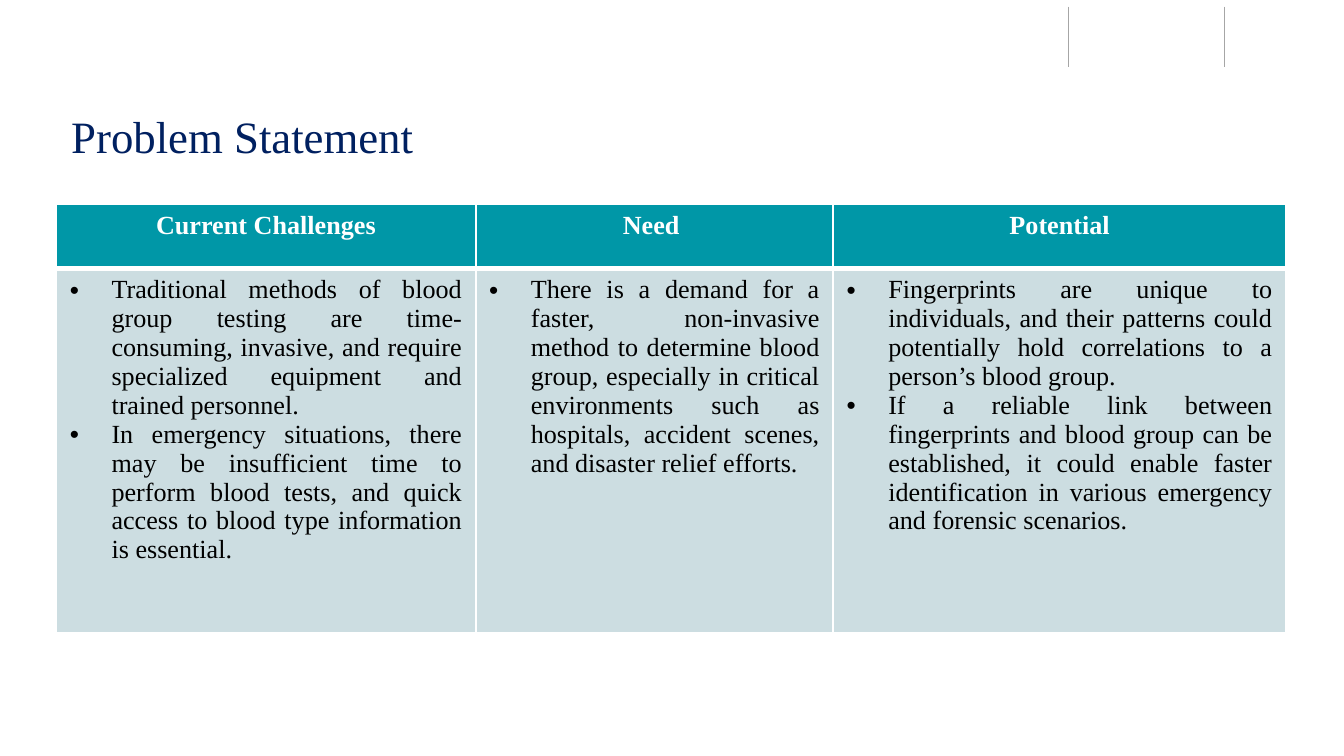
from lxml import etree
from pptx import Presentation
from pptx.dml.color import RGBColor
from pptx.enum.shapes import MSO_CONNECTOR
from pptx.enum.text import MSO_ANCHOR, PP_ALIGN
from pptx.oxml.ns import qn
from pptx.util import Inches, Pt

STRAIGHT = MSO_CONNECTOR.STRAIGHT
TOP = MSO_ANCHOR.TOP
LEFT, CENTER, JUSTIFY = PP_ALIGN.LEFT, PP_ALIGN.CENTER, PP_ALIGN.JUSTIFY
NAVY = RGBColor(0x00, 0x20, 0x60)
TEAL = RGBColor(0x00, 0x97, 0xA7)
PALE = RGBColor(0xCC, 0xDD, 0xE1)
GREY = RGBColor(0xA6, 0xA6, 0xA6)
WHITE = RGBColor(0xFF, 0xFF, 0xFF)
BLACK = RGBColor(0x00, 0x00, 0x00)
FONT = "Times New Roman"

COLUMNS = [
    (3.12, "Current Challenges", [
        "Traditional methods of blood group testing are time-consuming, invasive, "
        "and require specialized equipment and trained personnel. ",
        "In emergency situations, there may be insufficient time to perform blood "
        "tests, and quick access to blood type information is essential."]),
    (2.66, "Need ", [
        "There is a demand for a faster, non-invasive method to determine blood "
        "group, especially in critical environments such as hospitals, accident "
        "scenes, and disaster relief efforts."]),
    (3.37, "Potential", [
        "Fingerprints are unique to individuals, and their patterns could "
        "potentially hold correlations to a person’s blood group. ",
        "If a reliable link between fingerprints and blood group can be "
        "established, it could enable faster identification in various emergency "
        "and forensic scenarios."]),
]


def write(tf, lines, size=14, color=BLACK, bold=False, align=LEFT, bullet=False):
    for i, line in enumerate(lines):
        p = tf.paragraphs[0] if i == 0 else tf.add_paragraph()
        p.alignment = align
        if bullet:
            pPr = p._p.get_or_add_pPr()
            pPr.set("marL", str(Inches(0.31)))
            pPr.set("indent", str(-Inches(0.31)))
            clr = etree.SubElement(pPr, qn("a:buClr"))
            etree.SubElement(clr, qn("a:srgbClr"), val=str(BLACK))
            etree.SubElement(pPr, qn("a:buFont"), typeface="Arial")
            etree.SubElement(pPr, qn("a:buChar"), char="•")
        r = p.add_run()
        r.text = line
        r.font.name = FONT
        r.font.size = Pt(size)
        r.font.bold = bold
        r.font.color.rgb = color


def style_cell(cell, fill, top, bottom):
    tcPr = cell._tc.get_or_add_tcPr()
    for side, width in (("L", 1), ("R", 1), ("T", top), ("B", bottom)):
        ln = etree.SubElement(tcPr, qn(f"a:ln{side}"), w=str(Pt(width)))
        solid = etree.SubElement(ln, qn("a:solidFill"))
        etree.SubElement(solid, qn("a:srgbClr"), val=str(WHITE))
    cell.fill.solid()
    cell.fill.fore_color.rgb = fill


prs = Presentation()
prs.slide_width = Inches(10)
prs.slide_height = Inches(10) * 9 // 16
s = prs.slides.add_slide(prs.slide_layouts[5])

for x in (7.95, 9.11):
    line = s.shapes.add_connector(STRAIGHT, Inches(x), Inches(0.05), Inches(x), Inches(0.5))
    line.line.color.rgb = GREY
    line.line.width = Pt(0.75)
    etree.SubElement(line._element.spPr, qn("a:effectLst"))

title = s.shapes.title
title.left, title.top = Inches(0.43), Inches(0.71)
title.width, title.height = Inches(9.32), Inches(0.63)
tf = title.text_frame
tf.margin_left = tf.margin_right = tf.margin_top = tf.margin_bottom = Inches(0.1)
tf.vertical_anchor = TOP
write(tf, ["Problem Statement"], size=24, color=NAVY)

table = s.shapes.add_table(2, len(COLUMNS), Inches(0.42), Inches(1.52),
                           Inches(9.15), Inches(3.19)).table
table.rows[0].height = Inches(0.48)
table.rows[1].height = Inches(2.71)
for col, (width, heading, points) in enumerate(COLUMNS):
    table.columns[col].width = Inches(width)
    head, body = table.cell(0, col), table.cell(1, col)
    style_cell(head, TEAL, top=1, bottom=3)
    style_cell(body, PALE, top=3, bottom=1)
    write(head.text_frame, [heading], color=WHITE, bold=True, align=CENTER)
    write(body.text_frame, points, align=JUSTIFY, bullet=True)

prs.save("out.pptx")
